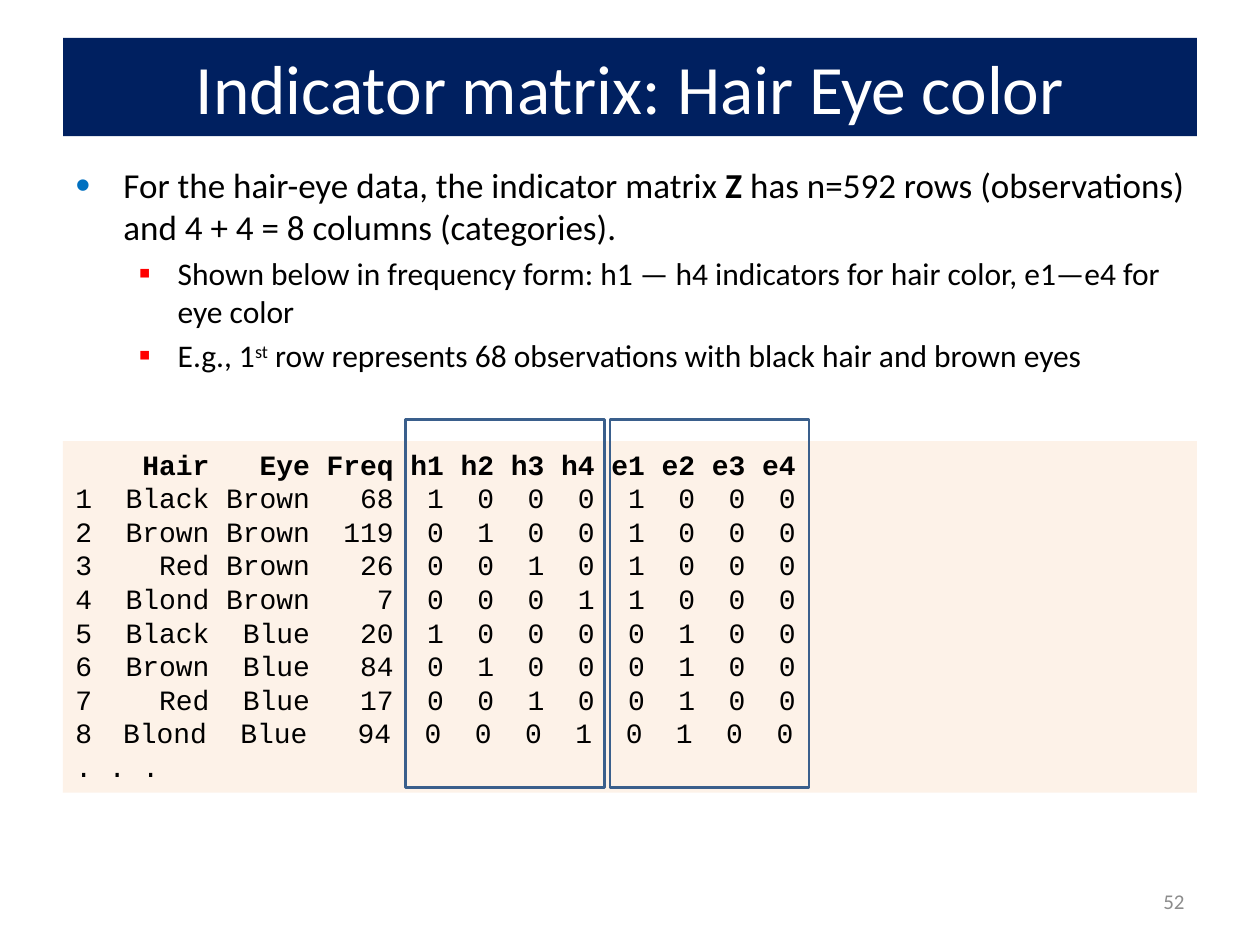
from dataclasses import dataclass
from typing import Any, NamedTuple

import pptx
import pptx.dml.color
import pptx.enum.shapes
import pptx.enum.text
import pptx.oxml
import pptx.oxml.ns
import pptx.util

ALIGN = pptx.enum.text.PP_ALIGN
ANCHOR = pptx.enum.text.MSO_ANCHOR
CELL = 0.5


@dataclass(frozen=True)
class Theme:
    """Hold the colours, fonts and type sizes."""
    navy: str = "002060"
    white: str = "FFFFFF"
    black: str = "000000"
    grey: str = "8C8C8C"
    cream: str = "FDEADA"
    frame: str = "3A5F8C"
    blue: str = "0070C0"
    red: str = "FF0000"
    sans: str = "Calibri"
    mono: str = "Courier New"
    title: float = 39.6
    body: float = 20
    sub: float = 18
    code: float = 16
    number: float = 12


class Box(NamedTuple):
    """Place an area in columns and rows of the half-inch grid."""
    col: float
    row: float
    cols: float
    rows: float


class Run(NamedTuple):
    """Describe a stretch of text."""
    text: str
    bold: bool = False
    raised: bool = False


class Bullet(NamedTuple):
    """Describe the look of one list level."""
    char: str
    colour: str
    percent: int
    left: float
    hang: float
    size: float
    before: float


class Item(NamedTuple):
    """Describe one list entry."""
    level: int
    runs: tuple[Run, ...]


class Count(NamedTuple):
    """Describe one hair and eye combination."""
    hair: str
    eye: str
    freq: int


T = Theme()
HAIR = ("Black", "Brown", "Red", "Blond")
EYES = ("Brown", "Blue")
FREQS = (68, 119, 26, 7, 20, 84, 17, 94)
COUNTS = [Count(HAIR[i % 4], EYES[i // 4], f) for i, f in enumerate(FREQS)]
BULLETS = (Bullet("•", T.blue, 120, 0.38, 0.38, T.body, 0),
           Bullet("▪", T.red, 110, 0.81, 0.31, T.sub, 3.6))
ITEMS = (
    Item(0, (Run("For the hair-eye data, the indicator matrix "), Run("Z", bold=True),
             Run(" has n=592 rows (observations) and 4 + 4 = 8 columns (categories)."))),
    Item(1, (Run("Shown below in frequency form: h1 — h4 indicators for hair color, "
                 "e1—e4 for eye color"),)),
    Item(1, (Run("E.g., 1"), Run("st", raised=True),
             Run(" row represents 68 observations with black hair and brown eyes"))),
)


def rgb(colour: str) -> pptx.dml.color.RGBColor:
    """Turn a hex string into a colour."""
    return pptx.dml.color.RGBColor.from_string(colour)


def emu(box: Box) -> list[int]:
    """Turn grid units into lengths."""
    return [pptx.util.Inches(v * CELL) for v in box]


def assign(target: Any, values: dict[str, Any]) -> None:
    """Set attributes from a dict."""
    for name, value in values.items():
        setattr(target, name, value)


def move(sp: Any, box: Box) -> None:
    """Place a shape on the grid."""
    assign(sp, dict(zip(("left", "top", "width", "height"), emu(box))))


def setup(tf: Any, anchor: Any) -> None:
    """Make a text frame wrap at a fixed size."""
    assign(tf, {"word_wrap": True, "vertical_anchor": anchor,
                "auto_size": pptx.enum.text.MSO_AUTO_SIZE.NONE})


def write(p: Any, runs: tuple[Run, ...], size: float, colour: str, font: str,
          align: Any = ALIGN.LEFT) -> None:
    """Add formatted runs to a paragraph."""
    p.alignment = align
    for run in runs:
        r = p.add_run()
        r.text = run.text
        assign(r.font, {"size": pptx.util.Pt(size), "name": font, "bold": run.bold})
        r.font.color.rgb = rgb(colour)
        if run.raised:
            r.font._element.set("baseline", "30000")


def hang(p: Any, left: float, indent: float, *marks: str) -> None:
    """Give a paragraph a hanging indent and bullet elements."""
    pPr = p._p.get_or_add_pPr()
    pPr.set("marL", str(pptx.util.Inches(left)))
    pPr.set("indent", str(-pptx.util.Inches(indent)))
    ns = pptx.oxml.ns.nsdecls("a")
    for mark in marks:
        tag, rest = mark.split(" ", 1)
        pPr.append(pptx.oxml.parse_xml(f"<a:{tag} {ns} {rest}"))


def paragraph(tf: Any, index: int) -> Any:
    """Return the first paragraph or a new one."""
    return tf.add_paragraph() if index else tf.paragraphs[0]


def draw_title(sp: Any, box: Box, text: str) -> None:
    """Fill the title band."""
    move(sp, box)
    sp.fill.solid()
    sp.fill.fore_color.rgb = rgb(T.navy)
    setup(sp.text_frame, ANCHOR.MIDDLE)
    write(sp.text_frame.paragraphs[0], (Run(text),), T.title, T.white, T.sans, ALIGN.CENTER)


def draw_list(sp: Any, box: Box) -> None:
    """Fill the body with the two-level list."""
    move(sp, box)
    setup(sp.text_frame, ANCHOR.TOP)
    for i, item in enumerate(ITEMS):
        b = BULLETS[item.level]
        p = paragraph(sp.text_frame, i)
        assign(p, {"level": item.level, "space_before": pptx.util.Pt(b.before)})
        hang(p, b.left, b.hang, f'buClr ><a:srgbClr val="{b.colour}"/></a:buClr>',
             f'buSzPct val="{b.percent}000"/>', 'buFont typeface="Arial"/>',
             f'buChar char="{b.char}"/>')
        write(p, item.runs, b.size, T.black, T.sans)


def add_rect(s: Any, box: Box) -> Any:
    """Add a rectangle without a shadow."""
    sp = s.shapes.add_shape(pptx.enum.shapes.MSO_SHAPE.RECTANGLE, *emu(box))
    sp.shadow.inherit = False
    return sp


def draw_matrix(s: Any, box: Box) -> None:
    """Draw the indicator matrix as program output."""
    sp = add_rect(s, box)
    sp.line.fill.background()
    sp.fill.solid()
    sp.fill.fore_color.rgb = rgb(T.cream)
    sp.fill._xPr.find(".//" + pptx.oxml.ns.qn("a:srgbClr")).append(pptx.oxml.parse_xml(
        f'<a:alpha {pptx.oxml.ns.nsdecls("a")} val="60000"/>'))
    setup(sp.text_frame, ANCHOR.TOP)
    rows = [(Run("    "), Run("Hair   Eye Freq h1 h2 h3 h4 e1 e2 e3 e4", bold=True))]
    for i, c in enumerate(COUNTS):
        flags = [int(h == c.hair) for h in HAIR] + [int(e == i // 4) for e in range(4)]
        cells = "".join(f"  {flag}" for flag in flags)
        label = "" if i == 7 else f"{i + 1}  "
        rows.append((Run(f"{label}{c.hair:>5} {c.eye:>5} {c.freq:>4}{cells}"),))
    rows.append((Run(". . ."),))
    for i, runs in enumerate(rows):
        p = paragraph(sp.text_frame, i)
        if i == 8:
            hang(p, 0.38, 0.38, f'buFont typeface="{T.mono}"/>',
                 'buAutoNum type="arabicPlain" startAt="8"/>')
        write(p, runs, T.code, T.black, T.mono)


def draw_frame(s: Any, box: Box) -> None:
    """Outline one block of indicator columns."""
    sp = add_rect(s, box)
    sp.fill.background()
    sp.line.color.rgb = rgb(T.frame)
    sp.line.width = pptx.util.Pt(1.5)


def draw_number(s: Any, box: Box, text: str) -> None:
    """Write the slide number."""
    tf = s.shapes.add_textbox(*emu(box)).text_frame
    setup(tf, ANCHOR.MIDDLE)
    write(tf.paragraphs[0], (Run(text),), T.number, T.grey, T.sans, ALIGN.RIGHT)


def main() -> None:
    """Build the slide."""
    prs = pptx.Presentation()
    assign(prs, {"slide_width": pptx.util.Inches(10), "slide_height": pptx.util.Inches(7.5)})
    s = prs.slides.add_slide(prs.slide_layouts[1])
    draw_title(s.shapes.title, Box(1, 0.6, 18, 1.56), "Indicator matrix: Hair Eye color")
    draw_list(s.placeholders[1], Box(1, 2.5, 18, 3.84))
    draw_number(s, Box(14.34, 13.9, 4.66, 0.8), "52")
    draw_matrix(s, Box(1, 7, 18, 5.58))
    for block in range(2):
        draw_frame(s, Box(6.44 + 3.24 * block, 6.66, 3.16, 5.84))
    prs.save("out.pptx")


if __name__ == "__main__":
    main()
